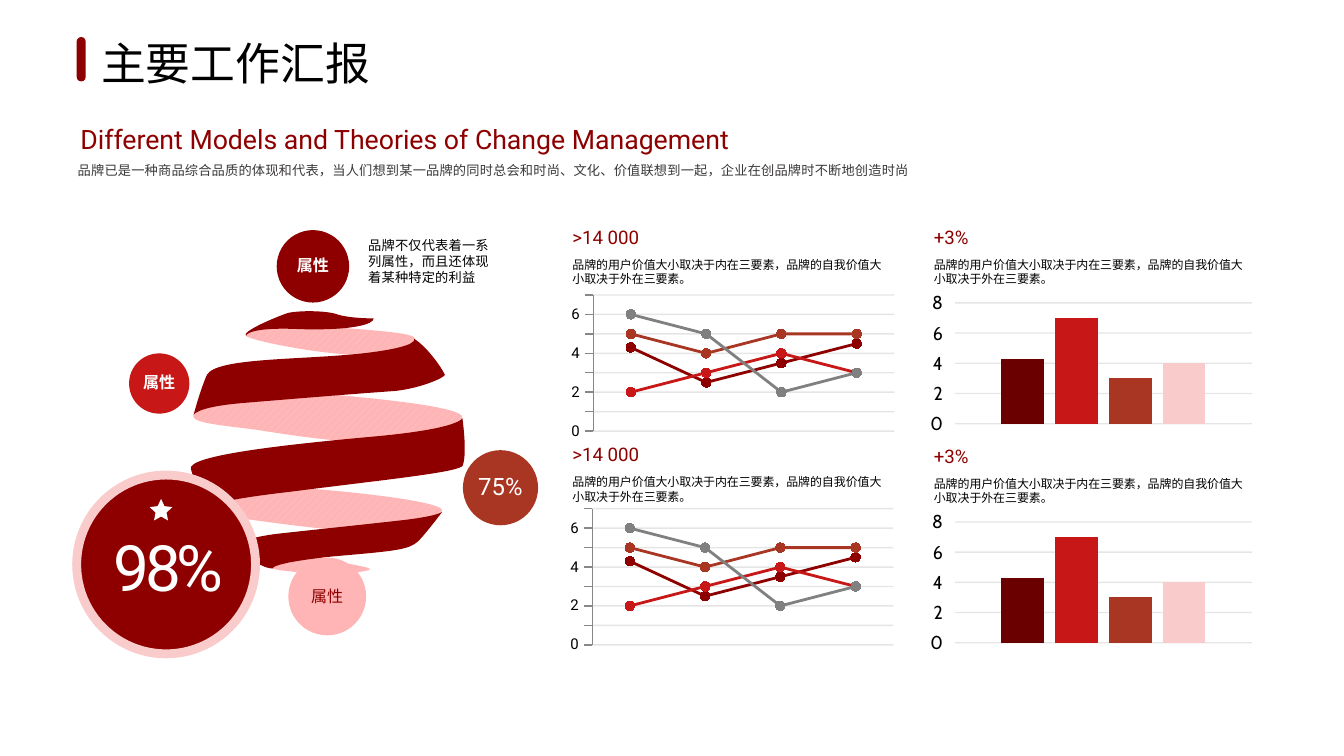
from lxml import etree
from pptx import Presentation
from pptx import util as u
from pptx.chart.data import CategoryChartData
from pptx.dml.color import RGBColor
from pptx.enum import chart as ch, dml, shapes, text
from pptx.oxml import parse_xml
from pptx.oxml.ns import nsdecls, qn


class Theme:
    wine, red, rust = (RGBColor.from_string(c) for c in ("8E0000", "C71717", "A83623"))
    dark, pink, blush = (RGBColor.from_string(c) for c in ("6A0000", "FFB5B5", "F9CBCB"))
    black, white, grey = (RGBColor.from_string(c) for c in ("000000", "FFFFFF", "808080"))
    ink = RGBColor.from_string("3B3838")
    head, sans = "Cabin", "Roboto"
    title, sub, big, rate = 24, 14.25, 34.2, 12.8
    tag, note, key, small = 8.6, 7.15, 10, 6.4
    axis, tick = 10, 8


def write(shape, words, size, color=Theme.black, font=Theme.sans, bold=None,
          align="LEFT", anchor="TOP", pad=(0.05, 0.05, 0.05, 0.05),
          lead=None, track=None, wrap=True, grow=True):
    frame = shape.text_frame
    frame.text = words
    frame.word_wrap = wrap
    frame.auto_size = text.MSO_AUTO_SIZE.SHAPE_TO_FIT_TEXT if grow else text.MSO_AUTO_SIZE.NONE
    frame.vertical_anchor = text.MSO_ANCHOR[anchor]
    (frame.margin_left, frame.margin_top,
     frame.margin_right, frame.margin_bottom) = map(u.Cm, pad)
    para = frame.paragraphs[0]
    para.alignment = text.PP_ALIGN[align]
    if lead:
        para.line_spacing = lead
    run = para.runs[0]
    run.font.size, run.font.name, run.font.bold = u.Pt(size), font, bold
    run.font.color.rgb = color
    if track:
        run.font._element.set("spc", str(track))


def solid(shape, color):
    shape.shadow.inherit = False
    shape.fill.solid()
    shape.fill.fore_color.rgb = color
    shape.line.fill.background()
    return shape


prs = Presentation()
prs.slide_width, prs.slide_height = u.Cm(25.4), u.Cm(14.29)
slide = prs.slides.add_slide(prs.slide_layouts[5])
items = slide.shapes
kinds = shapes.MSO_SHAPE

# Title and its accent bar
title = items.title
title.left, title.top, title.width, title.height = map(u.Cm, (1.66, 0.54, 5.64, 1.27))
write(title, "主要工作汇报", Theme.title, font=Theme.head, wrap=False,
      pad=(0.25, 0.13, 0.25, 0.13))
bar = solid(items.add_shape(kinds.ROUNDED_RECTANGLE, *map(u.Cm, (1.45, 0.7, 0.17, 0.84))),
            Theme.wine)
bar.adjustments[0] = 0.5

# Spiral: each outline is a start point, then cubic curves of three points,
# on a grid of a hundredth of an inch
grid = u.Cm(0.0254)
backs = [
    [275, 424, 279, 422, 247, 418, 236, 415, 220, 411, 179, 422, 214, 425,
     245, 429, 271, 426, 275, 424],
    [292, 391, 292, 391, 323, 388, 329, 381, 335, 373, 252, 365, 221, 363,
     191, 362, 118, 377, 173, 385, 227, 392, 267, 399, 292, 391],
    [319, 323, 319, 323, 342, 320, 344, 311, 347, 302, 263, 295, 217, 291,
     171, 288, 143, 305, 144, 310, 144, 315, 169, 317, 192, 320,
     216, 324, 270, 332, 288, 328, 306, 325, 319, 323, 319, 323],
    [290, 263, 295, 262, 314, 257, 308, 251, 303, 246, 241, 244, 223, 241,
     223, 241, 179, 245, 183, 250, 187, 254, 262, 269, 290, 263],
]
fronts = [
    [183, 250, 183, 250, 183, 243, 224, 245, 264, 246, 278, 241, 278, 237,
     278, 237, 260, 237, 251, 234, 243, 231, 222, 231, 214, 233,
     205, 236, 179, 247, 183, 250],
    [144, 309, 144, 309, 145, 303, 180, 300, 216, 297, 265, 293, 294, 291,
     313, 289, 331, 281, 331, 279, 330, 276, 319, 259, 308, 252,
     308, 252, 314, 258, 270, 263, 225, 268, 161, 266, 154, 279,
     149, 290, 144, 309, 144, 309],
    [154, 379, 154, 379, 146, 374, 216, 366, 286, 357, 337, 352, 344, 347,
     344, 347, 348, 341, 344, 311, 344, 311, 344, 319, 277, 325,
     211, 331, 139, 339, 142, 349, 145, 359, 151, 378, 154, 379],
    [203, 423, 203, 423, 201, 419, 249, 414, 296, 410, 304, 409, 311, 403,
     317, 397, 329, 381, 329, 381, 329, 381, 326, 384, 301, 387,
     275, 390, 227, 395, 209, 397, 190, 399, 174, 404, 174, 406,
     176, 409, 195, 424, 203, 423],
]
for flat in backs + fronts:
    knots = list(zip(flat[::2], flat[1::2]))
    form = items.build_freeform(*knots[0], scale=grid)
    form.add_line_segments(knots[1:], close=True)
    band = solid(form.convert_to_shape(), Theme.wine)
    # Join every three line points into one cubic curve
    legs = list(band._element.iter(qn("a:lnTo")))
    for i in range(0, len(legs), 3):
        curve = etree.Element(qn("a:cubicBezTo"))
        legs[i].addprevious(curve)
        for leg in legs[i:i + 3]:
            curve.append(leg[0])
            leg.getparent().remove(leg)
    if flat in backs:
        band.fill.patterned()
        band.fill.pattern = dml.MSO_PATTERN.WIDE_UPWARD_DIAGONAL
        band.fill.fore_color.rgb = Theme.blush
        band.fill.back_color.rgb = Theme.pink

# Small discs around the spiral
for left, top, size, fill, words, font, ink, bold, lead in (
        (5.23, 4.35, 1.37, Theme.wine, "属性", Theme.tag, Theme.white, True, 0.9),
        (2.44, 6.68, 1.14, Theme.red, "属性", Theme.tag, Theme.white, True, 0.9),
        (8.75, 8.51, 1.42, Theme.rust, "75%", Theme.rate, Theme.white, None, 0.9),
        (5.45, 10.54, 1.47, Theme.pink, "属性", Theme.tag, Theme.wine, None, None)):
    disc = solid(items.add_shape(kinds.OVAL, *map(u.Cm, (left, top, size, size))), fill)
    write(disc, words, font, ink, bold=bold, align="CENTER", anchor="MIDDLE",
          lead=lead, wrap=False, grow=False)

# Note, subtitle and intro
note = items.add_textbox(*map(u.Cm, (6.78, 4.39, 2.82, 1.09)))
write(note, "品牌不仅代表着一系列属性，而且还体现着某种特定的利益", Theme.note,
      anchor="MIDDLE", pad=(0.18, 0.1, 0.18, 0.1))
sub = items.add_textbox(*map(u.Cm, (1.47, 2.27, 17.98, 0.71)))
write(sub, "Different Models and Theories of Change Management", Theme.sub, Theme.wine)
intro = items.add_textbox(*map(u.Cm, (1.42, 2.87, 16.81, 0.51)))
write(intro, "品牌已是一种商品综合品质的体现和代表，当人们想到某一品牌的同时总会和时尚、"
      "文化、价值联想到一起，企业在创品牌时不断地创造时尚", Theme.note, Theme.ink, lead=1.5)

# Chart columns: lines on the left, bars on the right, two rows each
lines = [(4.3, 2.5, 3.5, 4.5), (2, 3, 4, 3), (5, 4, 5, 5), (6, 5, 2, 3)]
bars = [(4.3,), (7,), (3,), (4,)]
line_hues = (Theme.wine, Theme.red, Theme.rust, Theme.grey)
bar_hues = (Theme.dark, Theme.red, Theme.rust, Theme.blush)
for kind, left, step, key, spots, width, rows, hues in (
        ("LINE_MARKERS", 10.64, 4.11, ">14 000", ((10.67, 5.52), (10.65, 9.56)),
         6.36, lines, line_hues),
        ("COLUMN_CLUSTERED", 17.47, 4.14, "+3%", ((17.58, 5.44), (17.58, 9.58)),
         6.26, bars, bar_hues)):
    for row, spot in enumerate(spots):
        # Key figure and caption
        pad = (0.18, 0.1, 0.15, 0.1)
        head = items.add_textbox(*map(u.Cm, (left, 4.18 + row * step, 6.38, 0.61)))
        write(head, key, Theme.key, Theme.wine, anchor="BOTTOM", pad=pad)
        body = items.add_textbox(*map(u.Cm, (left, 4.77 + row * step, 6.38, 0.74)))
        write(body, "品牌的用户价值大小取决于内在三要素，品牌的自我价值大小取决于外在三要素。",
              Theme.small, pad=pad)

        # Chart and its value axis
        data = CategoryChartData()
        data.categories = [str(n + 1) for n in range(len(rows[0]))]
        for n, vals in enumerate(rows, 1):
            data.add_series(f"Series {n}", vals)
        chart = items.add_chart(ch.XL_CHART_TYPE[kind], *map(u.Cm, (*spot, width, 2.86)),
                                data).chart
        chart.has_legend = chart.has_title = False
        chart.font.size, chart.font.name = u.Pt(Theme.axis), Theme.head
        chart.font.color.rgb = Theme.black
        chart.category_axis.visible = False
        axis = chart.value_axis
        axis.minimum_scale = 0
        axis.major_tick_mark = ch.XL_TICK_MARK.OUTSIDE
        rule = axis.major_gridlines.format.line
        rule.width, rule.color.rgb = u.Pt(0.75), Theme.black
        tint = axis._element.find(qn("c:majorGridlines")).find(".//" + qn("a:srgbClr"))
        etree.SubElement(tint, qn("a:alpha")).set("val", "10000")
        plot = chart.plots[0]
        plot.vary_by_categories = False

        # Series
        if kind == "LINE_MARKERS":
            axis.maximum_scale, axis.major_unit = 7, 1
            axis.tick_labels.font.size = u.Pt(Theme.tick)
            axis.tick_labels.font.name = Theme.sans
            for ser, hue in zip(plot.series, hues):
                ser.smooth = False
                ser.format.line.width, ser.format.line.color.rgb = u.Pt(1.5), hue
                ser.marker.style, ser.marker.size = ch.XL_MARKER_STYLE.CIRCLE, 5
                ser.marker.format.fill.solid()
                ser.marker.format.fill.fore_color.rgb = hue
                ser.marker.format.line.color.rgb = hue
        else:
            axis.maximum_scale, axis.major_unit = 8, 2
            axis.format.line.fill.background()
            plot.gap_width, plot.overlap = 219, -27
            for ser, hue in zip(plot.series, hues):
                ser.format.fill.solid()
                ser.format.fill.fore_color.rgb = hue
            area = chart._chartSpace.chart.plotArea
            for old in area.findall(qn("c:layout")):
                area.remove(old)
            area.insert(0, parse_xml(
                f'<c:layout {nsdecls("c")}><c:manualLayout><c:layoutTarget val="inner"/>'
                '<c:xMode val="edge"/><c:yMode val="edge"/><c:x val="0.02"/><c:y val="0.1"/>'
                '<c:w val="0.95"/><c:h val="0.8"/></c:manualLayout></c:layout>'))

# Large disc with share and star
disc = solid(items.add_shape(kinds.OVAL, *map(u.Cm, (1.45, 8.98, 3.38, 3.38))), Theme.wine)
disc.line.color.rgb, disc.line.width = Theme.blush, u.Pt(4.75)
share = items.add_textbox(*map(u.Cm, (0.67, 9.92, 5.03, 1.57)))
write(share, "98%", Theme.big, Theme.white, align="CENTER", track=-220)
star = solid(items.add_shape(kinds.STAR_5_POINT, *map(u.Cm, (2.83, 9.43, 0.43, 0.41))),
             Theme.white)
star.adjustments[0] = 0.24

prs.save("out.pptx")
